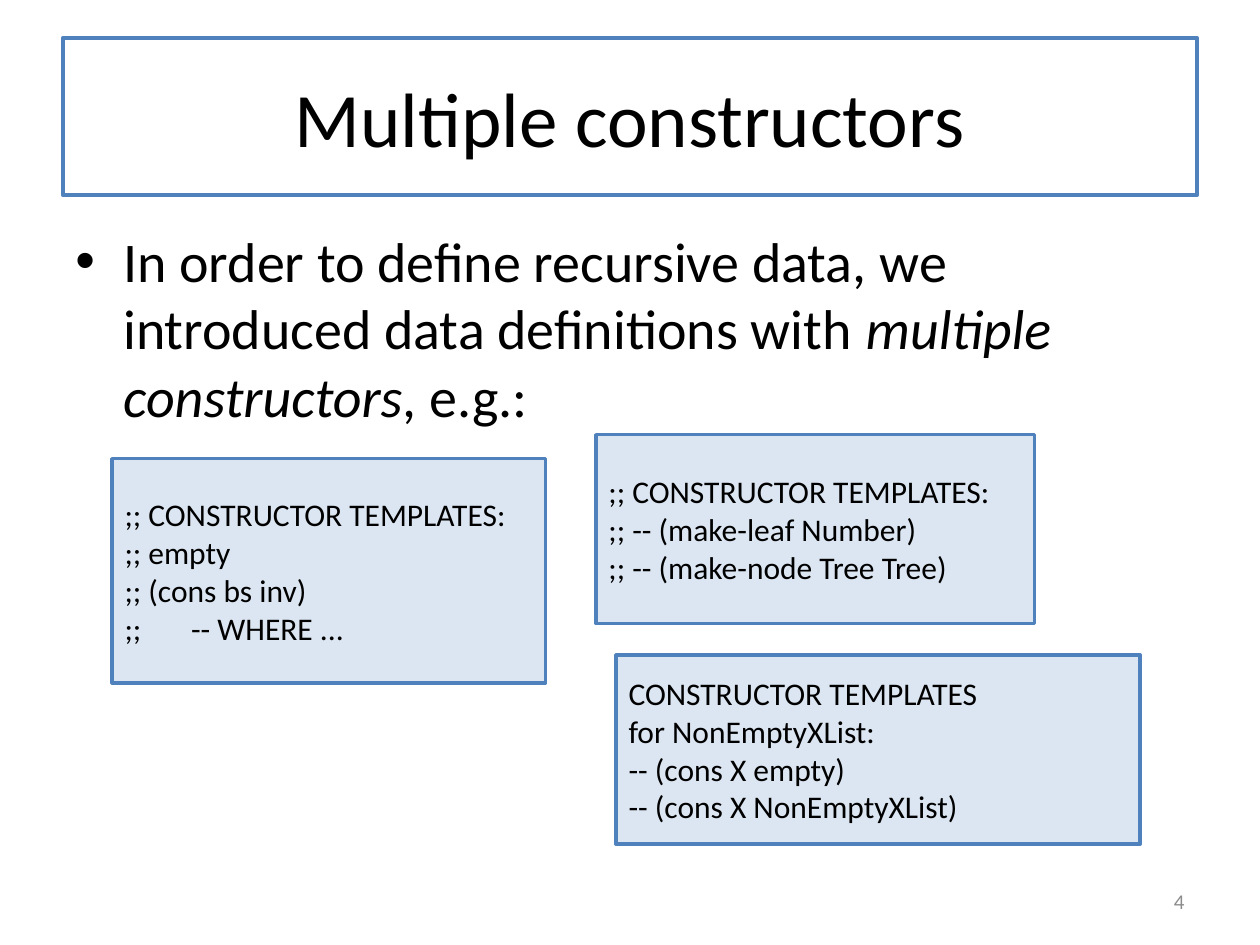
"""Build the "Multiple constructors" slide with three constructor template boxes."""
import pptx
import pptx.util
import pptx.dml.color
import pptx.enum.shapes
import pptx.enum.text
import lxml.etree

Inches = pptx.util.Inches
Pt = pptx.util.Pt
ALIGN = pptx.enum.text.PP_ALIGN
ANCHOR = pptx.enum.text.MSO_ANCHOR

COLORS = {"white": "FFFFFF", "text": "000000", "border": "4F81BD",
          "code": "DCE6F2", "number": "8C8C8C"}
FONT = "Calibri"

TITLE = "Multiple constructors"
BODY = [
    ("In order to define recursive data, we introduced data definitions with ", False),
    ("multiple constructors", True),
    (", e.g.:", False),
]
NUMBER = "4"
TEMPLATES = [
    ((0.89, 3.64, 3.44, 1.78), [
        ";; CONSTRUCTOR TEMPLATES:",
        ";; empty",
        ";; (cons bs inv)",
        ";;       -- WHERE ...",
    ]),
    ((4.73, 3.45, 3.48, 1.5), [
        ";; CONSTRUCTOR TEMPLATES:",
        ";; -- (make-leaf Number)",
        ";; -- (make-node Tree Tree)",
    ]),
    ((4.89, 5.2, 4.16, 1.5), [
        "CONSTRUCTOR TEMPLATES",
        "for NonEmptyXList:",
        "-- (cons X empty)",
        "-- (cons X NonEmptyXList)",
    ]),
]


def rgb(name):
    return pptx.dml.color.RGBColor.from_string(COLORS[name])


def add_bullet(p, indent):
    pPr = p._p.get_or_add_pPr()
    pPr.set("marL", str(Inches(indent)))
    pPr.set("indent", str(-Inches(indent)))
    ns = pptx.oxml.ns.qn
    lxml.etree.SubElement(pPr, ns("a:buFont")).set("typeface", "Arial")
    lxml.etree.SubElement(pPr, ns("a:buChar")).set("char", "•")


def write(sp, paragraphs, size, color="text", align=ALIGN.LEFT,
          anchor=ANCHOR.MIDDLE, bullet=None):
    tf = sp.text_frame
    tf.word_wrap = True
    tf.vertical_anchor = anchor
    for i, runs in enumerate(paragraphs):
        p = tf.paragraphs[0] if i == 0 else tf.add_paragraph()
        p.alignment = align
        if bullet:
            add_bullet(p, bullet)
        for text, italic in runs:
            r = p.add_run()
            r.text = text
            r.font.name = FONT
            r.font.size = Pt(size)
            r.font.italic = italic
            r.font.color.rgb = rgb(color)


def add_box(slide, at, fill, width):
    sp = slide.shapes.add_shape(pptx.enum.shapes.MSO_SHAPE.RECTANGLE, *map(Inches, at))
    sp.shadow.inherit = False
    sp.fill.solid()
    sp.fill.fore_color.rgb = rgb(fill)
    sp.line.color.rgb = rgb("border")
    sp.line.width = Pt(width)
    return sp


def add_text(slide, at):
    return slide.shapes.add_textbox(*map(Inches, at))


def main():
    prs = pptx.Presentation()
    prs.slide_width, prs.slide_height = Inches(10), Inches(7.5)
    slide = prs.slides.add_slide(prs.slide_layouts[6])

    title = add_box(slide, (0.5, 0.3, 9, 1.25), "white", 2.25)
    write(title, [[(TITLE, False)]], 44, align=ALIGN.CENTER)
    body = add_text(slide, (0.5, 1.75, 9, 4.95))
    write(body, [BODY], 32, anchor=ANCHOR.TOP, bullet=0.38)
    number = add_text(slide, (7.17, 6.95, 2.33, 0.4))
    write(number, [[(NUMBER, False)]], 12, color="number", align=ALIGN.RIGHT)

    for at, lines in TEMPLATES:
        sp = add_box(slide, at, "code", 2)
        write(sp, [[(line, False)] for line in lines], 18)

    prs.save("out.pptx")


if __name__ == "__main__":
    main()
